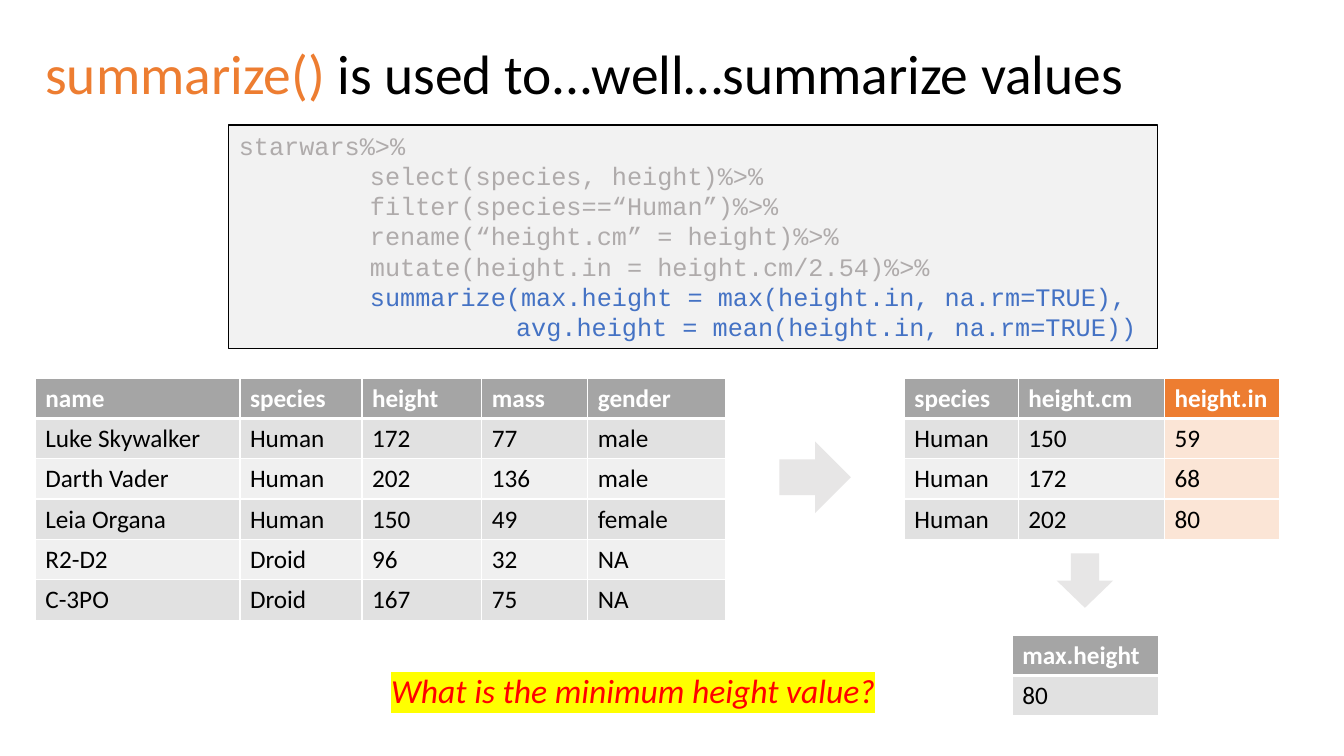
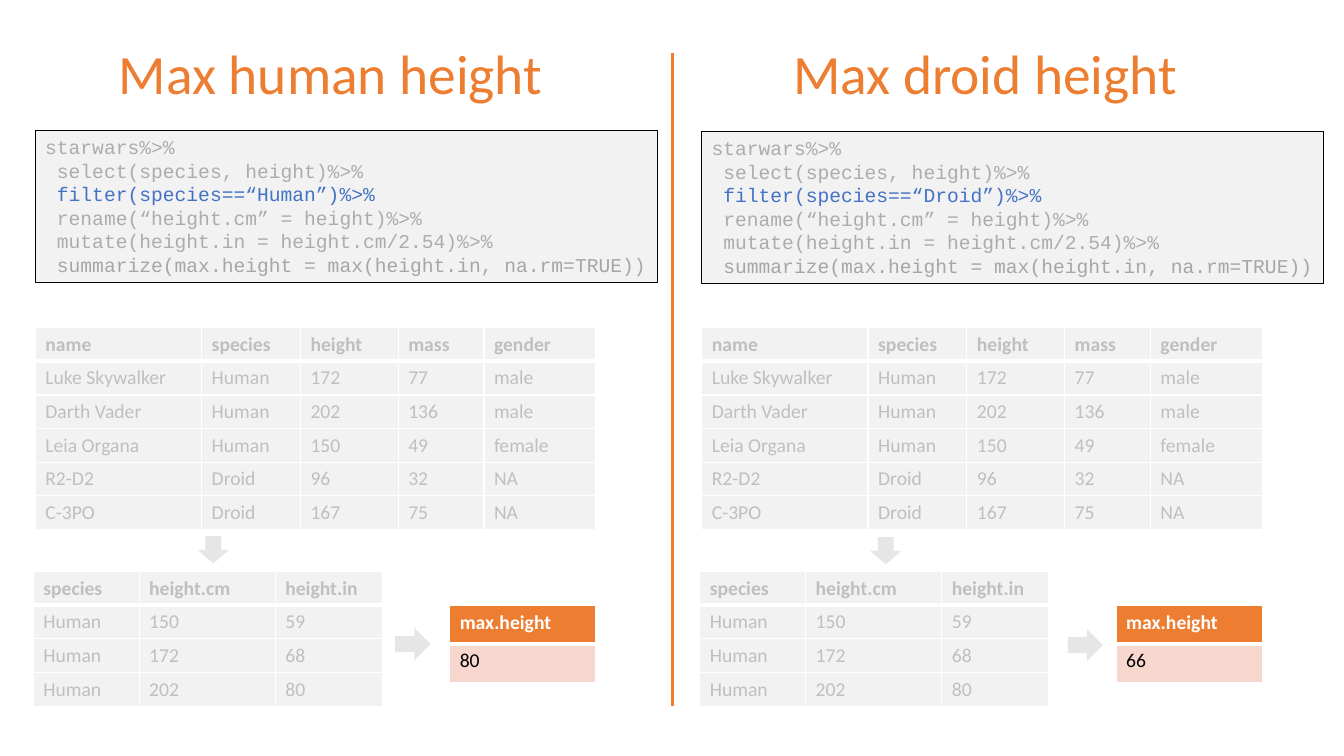
from dataclasses import dataclass

from pptx import Presentation, util as u
from pptx.dml.color import RGBColor
from pptx.enum import shapes, text
from pptx.oxml.ns import qn
from lxml import etree

# Shared look
SANS, MONO = "Calibri", "Courier New"
ORANGE, BLUE, BLACK, WHITE = "ED7D31", "4472C4", "000000", "FFFFFF"
PALE, ARROW, CODE_GREY, LAST_GREY = "F2F2F2", "E7E6E6", "AFABAB", "A6A6A6"
TITLE_TOP, TITLE_HEIGHT = 0.4, 0.71
TITLE_FORMAT = {"name": SANS, "size": u.Pt(39.6)}


@dataclass
class Palette:
    head: str
    bands: tuple
    head_text: str = WHITE
    body_text: str = BLACK


GREY = Palette("A5A5A5", ("E1E1E1", "F0F0F0"))
FADED = Palette(PALE, (PALE,), "BFBFBF", "BFBFBF")
NEW_COLUMN = Palette(ORANGE, ("FBE5D6",))
RESULT = Palette(ORANGE, ("F8D7CE",))

# Table contents
CHARACTERS = [
    ("name", "species", "height", "mass", "gender"),
    ("Luke Skywalker", "Human", "172", "77", "male"),
    ("Darth Vader", "Human", "202", "136", "male"),
    ("Leia Organa", "Human", "150", "49", "female"),
    ("R2-D2", "Droid", "96", "32", "NA"),
    ("C-3PO", "Droid", "167", "75", "NA"),
]
HEIGHTS = [
    ("species", "height.cm", "height.in"),
    ("Human", "150", "59"),
    ("Human", "172", "68"),
    ("Human", "202", "80"),
]


def rgb(value):
    return RGBColor.from_string(value)


def inches(*lengths):
    return [u.Inches(length) for length in lengths]


def write(paragraph, words, color, **font_format):
    run = paragraph.add_run()
    run.text = words
    for name, value in font_format.items():
        setattr(run.font, name, value)
    run.font.color.rgb = rgb(color)
    return run


def add_title(slide, left, width, parts, align=text.PP_ALIGN.LEFT):
    box = slide.shapes.add_textbox(*inches(left, TITLE_TOP, width, TITLE_HEIGHT))
    frame = box.text_frame
    frame.word_wrap = True
    frame.vertical_anchor = text.MSO_ANCHOR.MIDDLE
    line = frame.paragraphs[0]
    line.line_spacing = 0.9
    line.alignment = align
    for words, color in parts:
        write(line, words, color, **TITLE_FORMAT)


def add_preset(slide, preset, box, fill):
    shape = slide.shapes.add_shape(preset, *inches(*box))
    shape.shadow.inherit = False
    shape.fill.solid()
    shape.fill.fore_color.rgb = rgb(fill)
    shape.line.fill.background()
    return shape


def add_arrow(slide, box, rotation=0):
    arrow = add_preset(slide, shapes.MSO_SHAPE.RIGHT_ARROW, box, ARROW)
    arrow.rotation = rotation


def set_tab_stops(paragraph, stops):
    tab_list = etree.SubElement(paragraph._p.get_or_add_pPr(), qn("a:tabLst"))
    for stop in stops:
        etree.SubElement(tab_list, qn("a:tab"), pos=str(u.Inches(stop)), algn="l")


def add_code(slide, box, size, lines):
    panel = add_preset(slide, shapes.MSO_SHAPE.RECTANGLE, box, PALE)
    panel.line.color.rgb = rgb(BLACK)
    panel.line.width = u.Pt(0.75)
    frame = panel.text_frame
    frame.word_wrap = True
    frame.vertical_anchor = text.MSO_ANCHOR.TOP
    for index, (code, color) in enumerate(lines):
        line = frame.add_paragraph() if index else frame.paragraphs[0]
        line.alignment = text.PP_ALIGN.LEFT
        if "\t" in code:
            set_tab_stops(line, (1, 2))
        write(line, code, color, name=MONO, size=u.Pt(size))


def set_borders(cell, widths):
    properties = cell._tc.get_or_add_tcPr()
    for side in "LRTB":
        border = etree.SubElement(properties, qn(f"a:ln{side}"),
                                  w=str(u.Pt(widths.get(side, 1))))
        fill = etree.SubElement(border, qn("a:solidFill"))
        etree.SubElement(fill, qn("a:srgbClr"), val=WHITE)


def add_data(slide, left, top, widths, row_height, size, rows, palettes):
    """One palette for each column; the heading row has a thick rule below."""
    box = inches(left, top, sum(widths), row_height * len(rows))
    table = slide.shapes.add_table(len(rows), len(widths), *box).table
    table.horz_banding = False
    for column, width in zip(table.columns, widths):
        column.width = u.Inches(width)
    for r, values in enumerate(rows):
        table.rows[r].height = u.Inches(row_height)
        for c, (value, palette) in enumerate(zip(values, palettes)):
            cell = table.cell(r, c)
            set_borders(cell, {0: {"B": 3}, 1: {"T": 3}}.get(r, {}))
            bands = palette.bands
            cell.fill.solid()
            cell.fill.fore_color.rgb = rgb(
                bands[(r - 1) % len(bands)] if r else palette.head)
            write(cell.text_frame.paragraphs[0], value,
                  palette.body_text if r else palette.head_text,
                  name=SANS, size=u.Pt(size), bold=r == 0)


def add_question(slide, box, words):
    frame = slide.shapes.add_textbox(*inches(*box)).text_frame
    frame.word_wrap = False
    run = write(frame.paragraphs[0], words, "FF0000",
                name=SANS, size=u.Pt(24), italic=True)
    highlight = etree.Element(qn("a:highlight"))
    etree.SubElement(highlight, qn("a:srgbClr"), val="FFFF00")
    run.font._element.find(qn("a:solidFill")).addnext(highlight)


def add_divider(slide, x, top, bottom):
    divider = slide.shapes.add_connector(
        shapes.MSO_CONNECTOR.STRAIGHT, *inches(x, top, x, bottom))
    divider.line.color.rgb = rgb(ORANGE)
    divider.line.width = u.Pt(2.25)
    etree.SubElement(divider._element.spPr, qn("a:effectLst"))


def build_summarize(slide):
    add_title(slide, 0.35, 11.42, [
        ("summarize() ", ORANGE),
        ("is used to...well…summarize values", BLACK)])
    add_code(slide, (2.27, 1.24, 9.21, 2.22), 18, [
        ("starwars%>%", CODE_GREY),
        ("\t  select(species, height)%>%", CODE_GREY),
        ("\t  filter(species==“Human”)%>%", CODE_GREY),
        ("\t  rename(“height.cm” = height)%>%", CODE_GREY),
        ("\t  mutate(height.in = height.cm/2.54)%>%", CODE_GREY),
        ("\t  summarize(max.height = max(height.in, na.rm=TRUE),", BLUE),
        ("\t\t     avg.height = mean(height.in, na.rm=TRUE))", BLUE)])

    # From all characters to the tallest human
    add_data(slide, 0.35, 3.75, (2.03, 1.21, 1.19, 1.05, 1.37), 0.4, 18,
             CHARACTERS, [GREY] * 5)
    add_arrow(slide, (7.73, 4.38, 0.71, 0.71))
    add_data(slide, 8.97, 3.75, (1.13, 1.45, 1.14), 0.4, 18,
             HEIGHTS, [GREY, GREY, NEW_COLUMN])
    add_arrow(slide, (10.49, 5.48, 0.54, 0.56), 90)
    add_data(slide, 10.04, 6.3, (1.45,), 0.4, 18,
             [("max.height",), ("80",)], [GREY])
    add_question(slide, (3.78, 6.6, 5.05, 0.5), "What is the minimum height value?")


def add_species_half(slide, species, tallest, left, title_left, arrow_left, drop):
    """One half of the comparison; arrows and code sit lower by drop."""
    add_title(slide, title_left, 5.86, [(f"Max {species.lower()} height", ORANGE)],
              text.PP_ALIGN.CENTER)
    add_code(slide, (left, 1.29 + drop, 6.17, 1.51), 14, [
        ("starwars%>%", CODE_GREY),
        (" select(species, height)%>%", CODE_GREY),
        (f" filter(species==“{species}”)%>%", BLUE),
        (" rename(“height.cm” = height)%>%", CODE_GREY),
        (" mutate(height.in = height.cm/2.54)%>%", CODE_GREY),
        (" summarize(max.height = max(height.in, na.rm=TRUE))", LAST_GREY)])
    add_data(slide, left, 3.25, (1.65, 0.98, 0.97, 0.85, 1.11), 0.33, 14,
             CHARACTERS, [FADED] * 5)
    add_arrow(slide, (arrow_left, 5.3 + drop, 0.27, 0.31), 90)
    add_data(slide, left - 0.02, 5.67, (1.05, 1.35, 1.06), 0.33, 14,
             HEIGHTS, [FADED] * 3)
    add_arrow(slide, (arrow_left + 1.94, 6.23 + drop, 0.35, 0.32))
    add_data(slide, left + 4.11, 6.01, (1.45,), 0.38, 14,
             [("max.height",), (tallest,)], [RESULT])


def build_comparison(slide):
    add_species_half(slide, "Human", "80", 0.35, 0.35, 1.98, 0)
    add_species_half(slide, "Droid", "66", 6.96, 6.84, 8.65, 0.01)
    add_divider(slide, 6.67, 0.53, 7)


def main():
    deck = Presentation()
    deck.slide_width, deck.slide_height = inches(13.33, 7.5)
    blank = deck.slide_layouts[6]
    for build in (build_summarize, build_comparison):
        build(deck.slides.add_slide(blank))
    deck.save("out.pptx")


if __name__ == "__main__":
    main()
